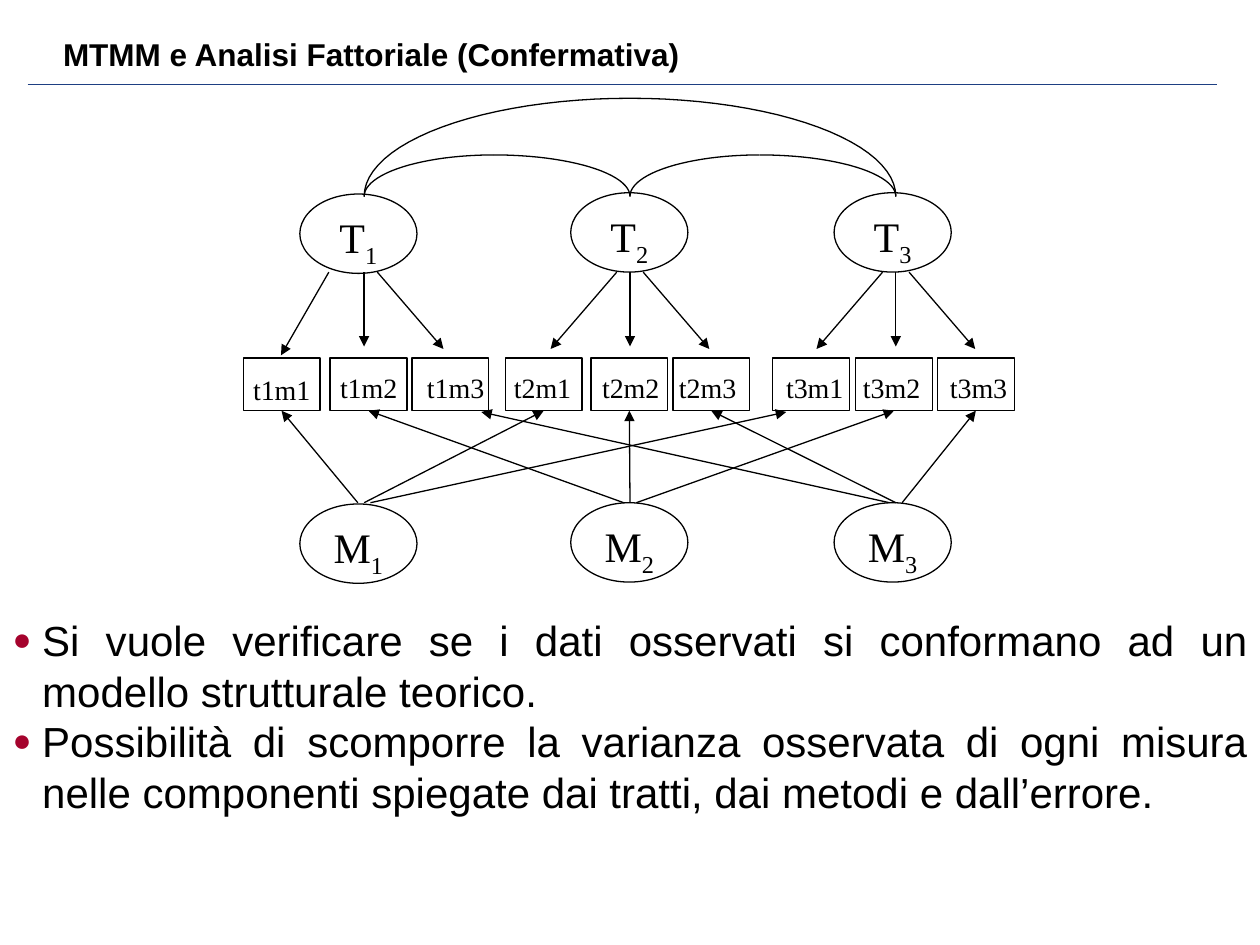
from dataclasses import dataclass
from math import cos, pi, sin

from lxml.etree import SubElement
from pptx import Presentation
from pptx.dml.color import RGBColor
from pptx.enum.shapes import MSO_CONNECTOR as Link, MSO_SHAPE as Preset
from pptx.enum.text import MSO_ANCHOR as Anchor, MSO_AUTO_SIZE as AutoSize, PP_ALIGN as Align
from pptx.oxml.ns import qn
from pptx.util import Inches, Pt


@dataclass(frozen=True)
class Theme:
    """Colours, fonts and type sizes of the slide."""
    ink: RGBColor = RGBColor(0, 0, 0)
    rule: RGBColor = RGBColor(0x1E, 0x3F, 0x82)
    bullet: str = "A5032D"
    sans: str = "Arial"
    serif: str = "Times New Roman"
    title: int = 18
    body: int = 24
    factor: int = 24
    label: int = 16
    stroke: float = 0.75


THEME = Theme()
WIDTH, HEIGHT = Inches(10), Inches(7.5)
COLUMNS, ROWS = 100, 75

FACTOR_LEFTS = (23.8, 45.3, 66.2)
AXES = (28.9, 50, 71.1)
FACTOR_SIZE = (9.3, 6.3)
BOX_TOP, BOX_SIZE = 28.4, (6.1, 4.2)
BOX_LEFTS = ((19.3, 26.2, 32.7), (40.1, 46.9, 53.4), (61.3, 67.9, 74.4))
LABEL_LEFTS = ((19.1, 26, 32.9), (39.8, 46.8, 52.9), (61.4, 67.5, 74.4))
METHOD_TARGETS = ((22.2, 43.3, 62.4), (28.9, 50, 71.2), (38.2, 56.7, 77.8))
POINTS = (
    "Si vuole verificare se i dati osservati si conformano ad un modello strutturale teorico.",
    "Possibilità di scomporre la varianza osservata di ogni misura nelle componenti "
    "spiegate dai tratti, dai metodi e dall’errore.",
)


def col(count):
    """Return a horizontal length in grid columns."""
    return round(WIDTH * count / COLUMNS)


def row(count):
    """Return a vertical length in grid rows."""
    return round(HEIGHT * count / ROWS)


def area(left, top, width, height):
    """Return a grid rectangle as slide lengths."""
    return col(left), row(top), col(width), row(height)


def place(shape, left, top, width, height):
    """Move a placeholder to a grid rectangle."""
    shape.left, shape.top, shape.width, shape.height = area(left, top, width, height)


def add_span(para, text, font, size, bold=False, baseline=None):
    """Add one formatted run to a paragraph."""
    span = para.add_run()
    span.text = text
    span.font.name, span.font.size, span.font.bold = font, Pt(size), bold
    span.font.color.rgb = THEME.ink
    if baseline:
        span.font._element.set("baseline", str(baseline))


def outline(shape):
    """Give a shape a thin outline, no fill and no shadow."""
    shape.shadow.inherit = False
    shape.fill.background()
    shape.line.color.rgb = THEME.ink
    shape.line.width = Pt(THEME.stroke)


def add_line(page, start, end, color=THEME.ink, width=THEME.stroke, arrow=True):
    """Draw a straight connector, with an arrowhead at its end if asked."""
    line = page.shapes.add_connector(
        Link.STRAIGHT, col(start[0]), row(start[1]), col(end[0]), row(end[1]))
    line.line.color.rgb, line.line.width = color, Pt(width)
    if arrow:
        SubElement(line.line._get_or_add_ln(), qn("a:tailEnd"), type="triangle")
    SubElement(line._element.spPr, qn("a:effectLst"))
    return line


def add_title(page, text):
    """Fill the title placeholder and draw the rule below it."""
    title = page.shapes.title
    place(title, 5, -3.3, 90, 9.1)
    frame = title.text_frame
    frame.auto_size, frame.vertical_anchor = AutoSize.NONE, Anchor.BOTTOM
    frame.margin_left = frame.margin_top = frame.margin_right = frame.margin_bottom = 0
    para = frame.paragraphs[0]
    para.alignment = Align.LEFT
    add_span(para, text, THEME.sans, THEME.title, bold=True)
    add_line(page, (2.2, 6.7), (96.6, 6.7), THEME.rule, 1, arrow=False)


def add_points(page, points):
    """Fill the body placeholder with justified, bulleted points."""
    body = page.placeholders[1]
    place(body, 0, 48.3, 100, 14.2)
    frame = body.text_frame
    frame.auto_size, frame.vertical_anchor = AutoSize.NONE, Anchor.TOP
    for index, text in enumerate(points):
        para = frame.add_paragraph() if index else frame.paragraphs[0]
        para.alignment = Align.JUSTIFY
        para.space_before, para.line_spacing = Pt(0), 1.0
        props = para._p.get_or_add_pPr()
        props.set("marL", str(col(2.35)))
        props.set("indent", str(-col(2.35)))
        SubElement(SubElement(props, qn("a:buClr")), qn("a:srgbClr"), val=THEME.bullet)
        SubElement(props, qn("a:buSzPct"), val="75000")
        SubElement(props, qn("a:buFont"), typeface=THEME.sans)
        SubElement(props, qn("a:buChar"), char="●")
        add_span(para, text, THEME.sans, THEME.body)


def add_factor(page, letter, number, left, top):
    """Draw a latent factor as an ellipse with a subscripted name."""
    oval = page.shapes.add_shape(Preset.OVAL, *area(left, top, *FACTOR_SIZE))
    outline(oval)
    oval.text_frame.vertical_anchor = Anchor.TOP
    para = oval.text_frame.paragraphs[0]
    para.alignment = Align.CENTER
    add_span(para, letter, THEME.serif, THEME.factor)
    add_span(para, str(number), THEME.serif, THEME.factor, baseline=-25000)


def add_measure(page, text, box_left, label_left, label_top):
    """Draw an observed measure and its label, and return the box."""
    box = page.shapes.add_shape(Preset.RECTANGLE, *area(box_left, BOX_TOP, *BOX_SIZE))
    outline(box)
    label = page.shapes.add_textbox(*area(label_left, label_top, 6.5, 3.7))
    frame = label.text_frame
    frame.word_wrap, frame.auto_size = False, AutoSize.SHAPE_TO_FIT_TEXT
    frame.margin_right = 0
    para = frame.paragraphs[0]
    para.alignment = Align.LEFT
    add_span(para, text, THEME.serif, THEME.label)
    return box


def add_arc(page, top_x, foot_x, top, foot=15.6, steps=24):
    """Draw a quarter ellipse from the crown of an arch to its foot."""
    turns = [pi / 2 * step / steps for step in range(steps + 1)]
    dots = [(col(top_x + (foot_x - top_x) * sin(turn)),
             row(foot - (foot - top) * cos(turn))) for turn in turns]
    builder = page.shapes.build_freeform(*dots[0])
    builder.add_line_segments(dots[1:], close=False)
    outline(builder.convert_to_shape())


def add_correlations(page):
    """Draw an arch between each pair of traits."""
    first, second, third = AXES
    for left, crown, right, top in ((first, 39.2, second, 12.3),
                                    (second, 60.3, third, 12.3),
                                    (first, second, third, 7.8)):
        for foot_x in (left, right):
            add_arc(page, crown, foot_x, top)


def add_trait_arrows(page):
    """Draw the loadings from each trait to its measures."""
    for trait, axis in enumerate(AXES):
        for side in (-1, 0, 1):
            start = (axis + 1.05 * side, 21.6)
            end = (axis + 6.3 * side, 27.7 if side else 27.5)
            if trait == 0 and side == -1:
                start, end = (26.1, 21.6), (22.3, 28.2)
            add_line(page, start, end)


def add_method_arrows(page, boxes):
    """Draw the loadings from each method, joined to boxes met at mid-side."""
    for method, (axis, targets) in enumerate(zip(AXES, METHOD_TARGETS)):
        for trait, target in enumerate(targets):
            arrow = add_line(page, (axis + 0.5 * (trait - 1), 39.9), (target, 32.7))
            box = boxes[trait][method]
            if abs(box.left + box.width / 2 - col(target)) < col(0.5):
                arrow.end_connect(box, 2)


def main():
    """Build the slide and save the deck."""
    deck = Presentation()
    deck.slide_width, deck.slide_height = WIDTH, HEIGHT
    page = deck.slides.add_slide(deck.slide_layouts[1])
    add_title(page, "MTMM e Analisi Fattoriale (Confermativa)")
    add_correlations(page)
    for index, left in enumerate(FACTOR_LEFTS):
        drop = 0 if index else 0.1
        add_factor(page, "T", index + 1, left, 15.3 + drop)
        add_factor(page, "M", index + 1, left, 39.9 + drop)
    boxes = [[add_measure(page, f"t{trait}m{method}", box_left, label_left,
                          29.1 if trait == method == 1 else 28.9)
              for method, (box_left, label_left) in enumerate(zip(*lefts), 1)]
             for trait, lefts in enumerate(zip(BOX_LEFTS, LABEL_LEFTS), 1)]
    add_trait_arrows(page)
    add_method_arrows(page, boxes)
    add_points(page, POINTS)
    deck.save("out.pptx")


if __name__ == "__main__":
    main()
